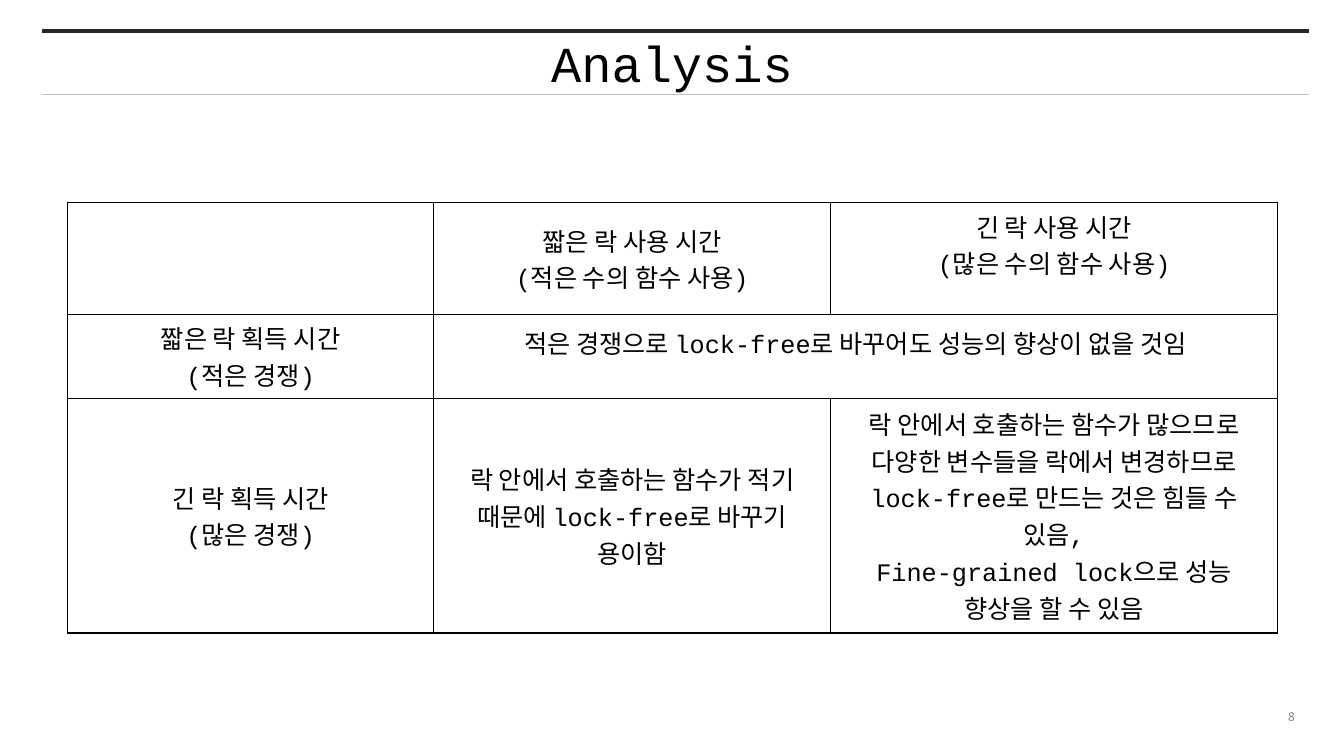
from lxml import etree
from pptx import Presentation
from pptx import util as u
from pptx.dml.color import RGBColor
from pptx.enum import shapes, text
from pptx.oxml import ns

WIDTH, HEIGHT = 13.33, 7.5
MARGIN = 0.67
BLACK = RGBColor(0x00, 0x00, 0x00)
DARK = RGBColor(0x26, 0x26, 0x26)
LIGHT = RGBColor(0xBF, 0xBF, 0xBF)
GRAY = RGBColor(0x80, 0x80, 0x80)
LATIN_FONT, KOREAN_FONT = "Courier New", "Noto Sans CJK KR"

COLUMNS = [3.63, 3.94, 4.43]
ROWS = [1.11, 0.83, 2.33]
SIDE_MARGIN = 0.25
CELLS = [
    ["",
     "짧은 락 사용 시간\n(적은 수의 함수 사용)",
     "긴 락 사용 시간\n(많은 수의 함수 사용)"],
    ["짧은 락 획득 시간\n(적은 경쟁)",
     "적은 경쟁으로 lock-free로 바꾸어도 성능의 향상이 없을 것임",
     ""],
    ["긴 락 획득 시간\n(많은 경쟁)",
     "락 안에서 호출하는 함수가 적기 때문에 lock-free로 바꾸기 용이함",
     "락 안에서 호출하는 함수가 많으므로 다양한 변수들을 락에서 변경하므로 "
     "lock-free로 만드는 것은 힘들 수 있음,\n"
     "Fine-grained lock으로 성능 향상을 할 수 있음"],
]
# Cells whose text sits above the middle: (row, column) -> bottom margin
RAISED = {(0, 2): 0.33, (1, 1): 0.33}


def format_text(frame, size, font, color, alignment):
    """Give every paragraph of a text frame the same look."""
    for paragraph in frame.paragraphs:
        paragraph.alignment = alignment
        paragraph.font.size = u.Pt(size)
        paragraph.font.name = font
        paragraph.font.bold = False
        paragraph.font.color.rgb = color
        # Korean letters use their own typeface
        properties = paragraph.font._element
        east_asian = etree.SubElement(properties, ns.qn("a:ea"))
        east_asian.set("typeface", KOREAN_FONT)


def add_rule(slide, left, top, width, color, weight):
    line = slide.shapes.add_connector(
        shapes.MSO_CONNECTOR.STRAIGHT, u.Inches(left), u.Inches(top),
        u.Inches(left + width), u.Inches(top))
    line.line.color.rgb = color
    line.line.width = u.Pt(weight)
    etree.SubElement(line._element.spPr, ns.qn("a:effectLst"))


def add_header(slide, left, top, width, height):
    """Centred title between a heavy and a thin rule."""
    title = slide.shapes.title
    title.left, title.top = u.Inches(MARGIN), u.Inches(top)
    title.width, title.height = u.Inches(WIDTH - 2 * MARGIN), u.Inches(height)
    title.text_frame.text = "Analysis"
    title.text_frame.vertical_anchor = text.MSO_ANCHOR.MIDDLE
    format_text(title.text_frame, 36, LATIN_FONT, BLACK, text.PP_ALIGN.CENTER)
    add_rule(slide, left, top + 0.01, width, DARK, 3)
    add_rule(slide, left, top + height, width, LIGHT, 0.75)


def add_borders(cell):
    properties = cell._tc.get_or_add_tcPr()
    for index, side in enumerate(("lnL", "lnR", "lnT", "lnB")):
        border = etree.Element(ns.qn(f"a:{side}"), w=str(u.Pt(1)))
        fill = etree.SubElement(border, ns.qn("a:solidFill"))
        etree.SubElement(fill, ns.qn("a:srgbClr"), val=str(BLACK))
        properties.insert(index, border)


def add_analysis_table(slide, left, top):
    frame = slide.shapes.add_table(
        len(ROWS), len(COLUMNS), u.Inches(left), u.Inches(top),
        u.Inches(sum(COLUMNS)), u.Inches(sum(ROWS)))
    table = frame.table
    table.first_row = table.horz_banding = False
    for column, width in zip(table.columns, COLUMNS):
        column.width = u.Inches(width)
    for row, height in zip(table.rows, ROWS):
        row.height = u.Inches(height)
    table.cell(1, 1).merge(table.cell(1, 2))
    for row_index, row in enumerate(CELLS):
        for column_index, words in enumerate(row):
            cell = table.cell(row_index, column_index)
            cell.fill.background()
            add_borders(cell)
            cell.vertical_anchor = text.MSO_ANCHOR.MIDDLE
            cell.margin_left = cell.margin_right = u.Inches(SIDE_MARGIN)
            if (row_index, column_index) in RAISED:
                cell.margin_bottom = u.Inches(RAISED[row_index, column_index])
            if words:
                cell.text_frame.text = words
                format_text(cell.text_frame, 18, LATIN_FONT, BLACK,
                            text.PP_ALIGN.CENTER)


def add_page_number(slide, left, top, width, height):
    box = slide.shapes.add_textbox(u.Inches(left), u.Inches(top),
                                   u.Inches(width), u.Inches(height))
    box.text_frame.text = "8"
    box.text_frame.word_wrap = True
    box.text_frame.vertical_anchor = text.MSO_ANCHOR.MIDDLE
    format_text(box.text_frame, 8.5, KOREAN_FONT, GRAY, text.PP_ALIGN.RIGHT)


def main():
    presentation = Presentation()
    presentation.slide_width = u.Inches(WIDTH)
    presentation.slide_height = u.Inches(HEIGHT)
    slide = presentation.slides.add_slide(presentation.slide_layouts[5])
    add_header(slide, 0.42, 0.3, 12.56, 0.64)
    add_analysis_table(slide, MARGIN, 2.01)
    add_page_number(slide, 10.13, 6.98, 2.81, 0.27)
    presentation.save("out.pptx")


if __name__ == "__main__":
    main()
